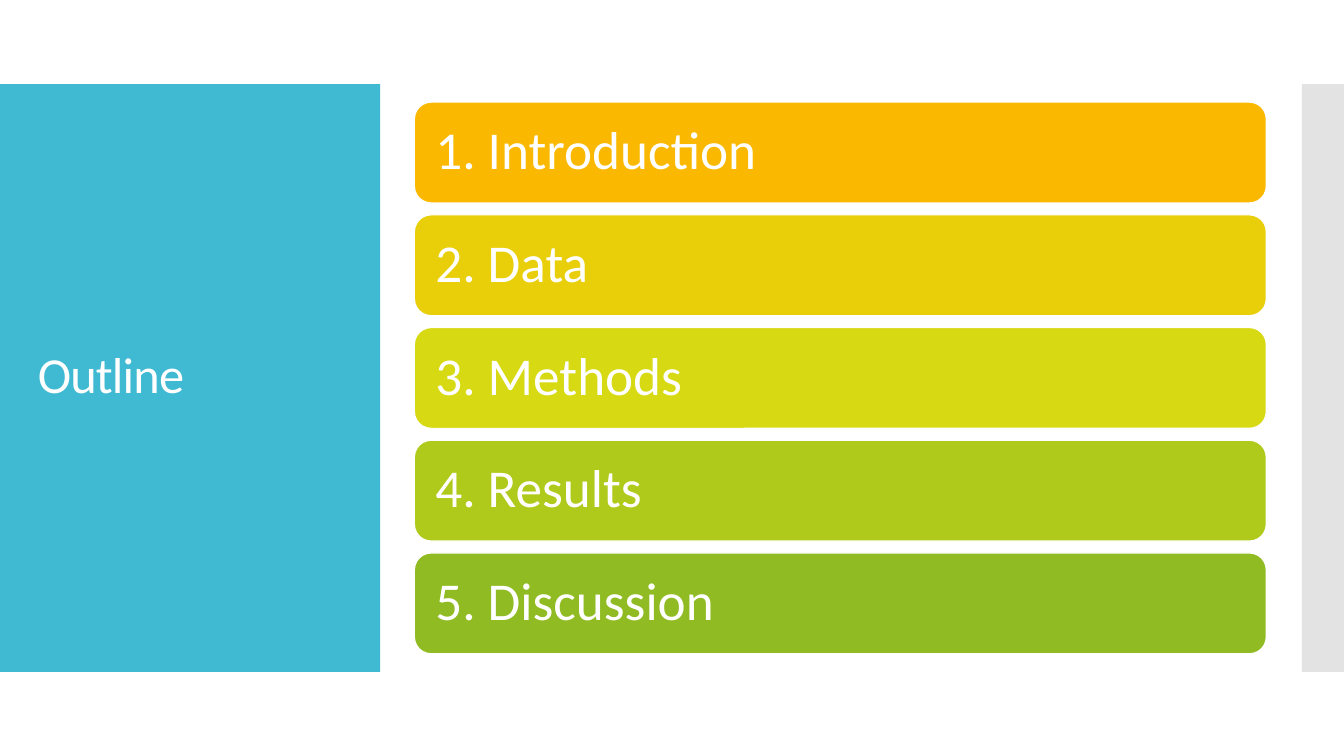
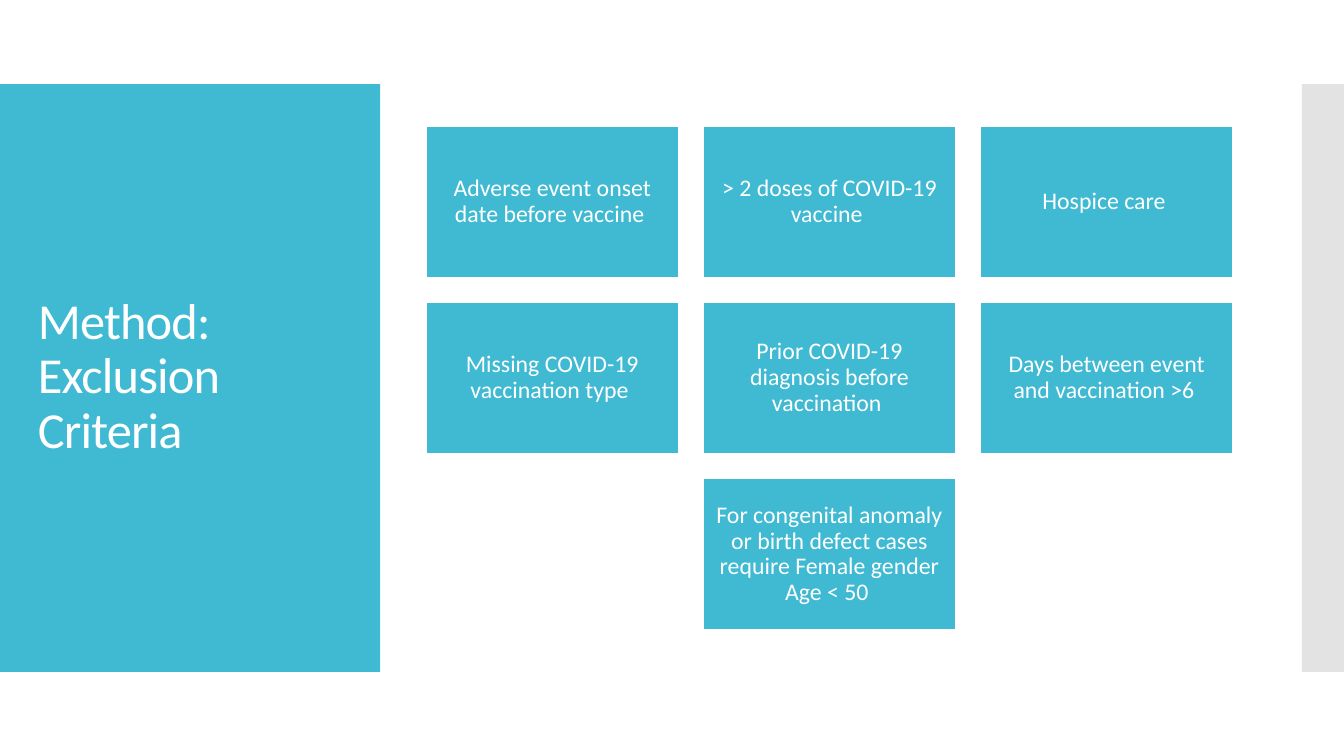
from dataclasses import dataclass

from lxml.etree import SubElement
from pptx import Presentation
from pptx.dml.color import RGBColor
from pptx.enum.shapes import MSO_SHAPE
from pptx.enum.text import MSO_ANCHOR, PP_ALIGN
from pptx.oxml.ns import qn
from pptx.util import Emu, Pt

EMU_PER_PX = 6350


@dataclass(frozen=True)
class Theme:
    """Colours, font and type sizes shared by the slides."""

    font: str = "Calibri"
    white: str = "FFFFFF"
    teal: str = "40BAD2"
    grey: str = "C8C8C8"
    bars: tuple = ("FAB900", "E9CE0A", "D7D913", "B0CA1B", "90BB23")
    title_size: int = 36
    bar_size: int = 38
    card_size: int = 17
    outline: float = 0.85


THEME = Theme()

SECTIONS = ("1. Introduction", "2. Data", "3. Methods", "4. Results", "5. Discussion")
CRITERIA = (
    ("Adverse event onset date before vaccine ", "> 2 doses of COVID-19 vaccine ", "Hospice care "),
    ("Missing COVID-19 vaccination type ", "Prior COVID-19 diagnosis before vaccination ",
     "Days between event and vaccination >6 "),
    ("For congenital anomaly or birth defect cases require Female gender Age < 50 ",),
)


def px(*lengths):
    """Turn px lengths into EMU."""
    return [Emu(length * EMU_PER_PX) for length in lengths]


def add_box(page, area, fill, kind=MSO_SHAPE.RECTANGLE, outlined=False):
    """Add a flat filled shape, with a white outline if asked."""
    box = page.shapes.add_shape(kind, *px(*area))
    box.shadow.inherit = False
    box.fill.solid()
    box.fill.fore_color.rgb = RGBColor.from_string(fill)
    if outlined:
        box.line.color.rgb = RGBColor.from_string(THEME.white)
        box.line.width = Pt(THEME.outline)
    else:
        box.line.fill.background()
    return box


def write(box, text, size, inset, align=PP_ALIGN.LEFT):
    """Write one white, vertically centred paragraph and return its run."""
    frame = box.text_frame
    frame.word_wrap = True
    frame.vertical_anchor = MSO_ANCHOR.MIDDLE
    for side in ("left", "right", "top", "bottom"):
        setattr(frame, f"margin_{side}", px(inset)[0])
    para = frame.paragraphs[0]
    para.alignment = align
    para.line_spacing = 0.9
    span = para.add_run()
    span.text = text
    span.font.name = THEME.font
    span.font.size = Pt(size)
    span.font.color.rgb = RGBColor.from_string(THEME.white)
    return span


def add_page(deck, title):
    """Add a blank slide with the title panel and the side band."""
    page = deck.slides.add_slide(deck.slide_layouts[6])
    add_box(page, (0, 120, 543, 840), THEME.teal)
    band = add_box(page, (1860, 120, 60, 840), THEME.grey)
    colour = band.fill._xPr.find(qn("a:solidFill"))[0]
    SubElement(colour, qn("a:alpha")).set("val", "50000")
    title_box = page.shapes.add_textbox(*px(40, 177, 464, 724))
    span = write(title_box, title, THEME.title_size, 14)
    span.font._element.set("spc", "-60")
    return page


def add_bars(page, labels, left=592, top=146, width=1217, height=144, gap=17):
    """Stack one rounded bar for each label."""
    for row, (label, fill) in enumerate(zip(labels, THEME.bars)):
        area = (left, top + row * (height + gap), width, height)
        bar = add_box(page, area, fill, MSO_SHAPE.ROUNDED_RECTANGLE, outlined=True)
        write(bar, label, THEME.bar_size, 23)


def add_cards(page, rows, left=609, top=180, width=360, height=216, gap=36):
    """Lay cards out in rows, centring any row that is not full."""
    pitch = width + gap
    columns = max(map(len, rows))
    for row, labels in enumerate(rows):
        start = left + (columns - len(labels)) * pitch // 2
        for column, label in enumerate(labels):
            area = (start + column * pitch, top + row * (height + gap), width, height)
            card = add_box(page, area, THEME.teal, outlined=True)
            write(card, label, THEME.card_size, 10, PP_ALIGN.CENTER)


def main():
    """Build and save the deck."""
    deck = Presentation()
    deck.slide_width, deck.slide_height = px(1920, 1080)
    add_bars(add_page(deck, "Outline"), SECTIONS)
    add_cards(add_page(deck, "Method: Exclusion Criteria"), CRITERIA)
    deck.save("out.pptx")


if __name__ == "__main__":
    main()
